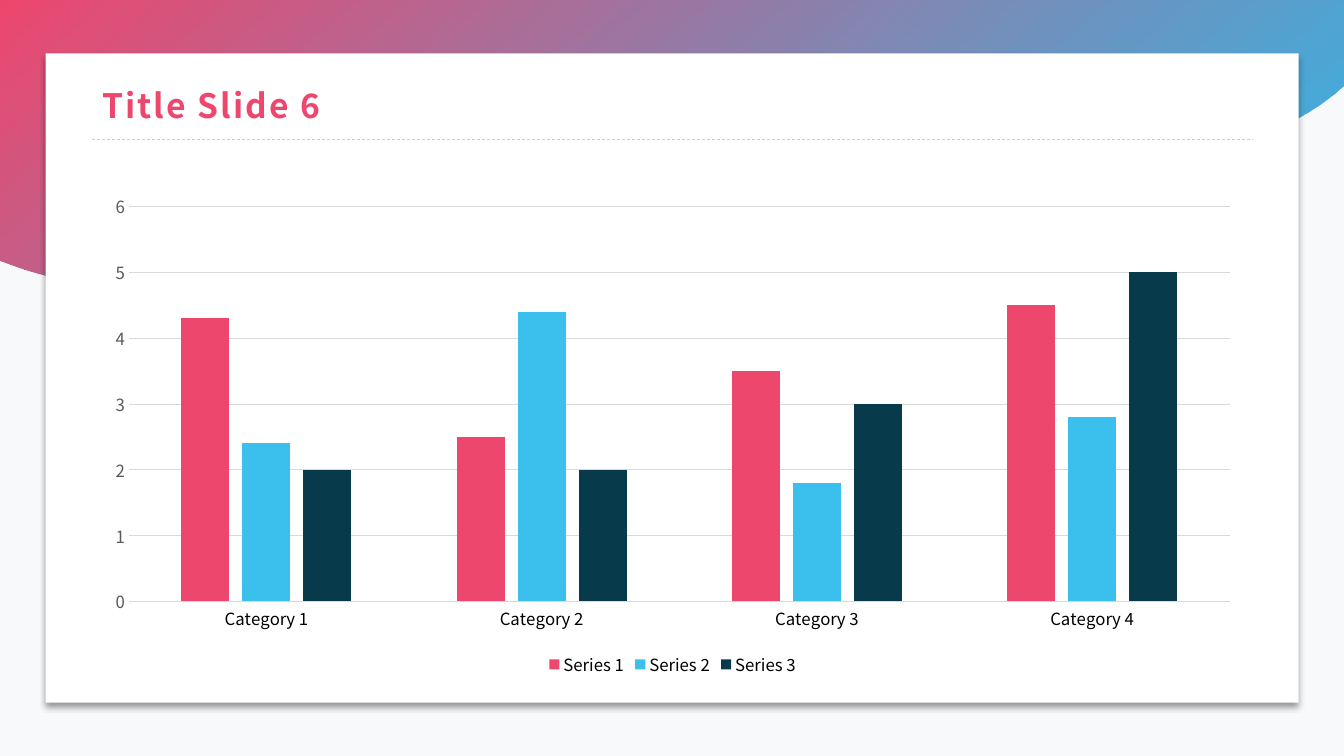
from lxml.etree import SubElement
from pptx import Presentation
from pptx.chart.data import CategoryChartData
from pptx.dml.color import RGBColor
from pptx.enum.chart import XL_CHART_TYPE as ChartType
from pptx.enum.chart import XL_LEGEND_POSITION as LegendPosition
from pptx.enum.chart import XL_TICK_MARK as TickMark
from pptx.enum.dml import MSO_LINE_DASH_STYLE as DashStyle
from pptx.enum.shapes import MSO_CONNECTOR as Connector
from pptx.enum.shapes import MSO_SHAPE as Shape
from pptx.enum.text import MSO_ANCHOR as Anchor
from pptx.oxml.ns import qn
from pptx.util import Pt

# Content
TITLE = "Title Slide 6"
CATEGORIES = ["Category 1", "Category 2", "Category 3", "Category 4"]
SERIES = [
    ("Series 1", (4.3, 2.5, 3.5, 4.5), "EE476E"),
    ("Series 2", (2.4, 4.4, 1.8, 2.8), "3BC0ED"),
    ("Series 3", (2, 2, 3, 5), "073A4B"),
]

# Look
FONT = "Noto Sans CJK JP"
PINK, BLUE, GRID = "EE476E", "16B3E8", "D9D9D9"
WIDTH, HEIGHT = 960, 540
LEFT, CONTENT_WIDTH = 66, 829

# Lower edge of the wave: start point, then cubic curves (two handles, end point)
WAVE_START = (0, 185.8)
WAVE_CURVES = [
    ((87.8, 218.9), (191.5, 223.9), (283, 197.3)),
    ((381.6, 169.2), (466.6, 108.7), (570.2, 97.9)),
    ((673.9, 87.1), (783.4, 129.6), (883.4, 102.2)),
    ((912.2, 94.3), (938.9, 79.9), (960, 61.2)),
]


def rgb(value):
    return RGBColor.from_string(value)


def bend_lines(shape, first, count):
    """Turn each three line segments, from the given one on, into a cubic curve."""
    lines = list(shape._element.spPr.iter(qn("a:lnTo")))
    for index in range(first, first + 3 * count, 3):
        curve = SubElement(lines[index].getparent(), qn("a:cubicBezTo"))
        lines[index].addprevious(curve)
        for line in lines[index:index + 3]:
            curve.append(line[0])
            line.getparent().remove(line)


def style_font(font, size, color):
    font.name, font.size = FONT, Pt(size)
    font.color.rgb = rgb(color)


def style_line(line, color, width):
    line.color.rgb = rgb(color)
    line.width = Pt(width)


presentation = Presentation()
presentation.slide_width, presentation.slide_height = Pt(WIDTH), Pt(HEIGHT)
slide = presentation.slides.add_slide(presentation.slide_layouts[6])
slide.background.fill.solid()
slide.background.fill.fore_color.rgb = rgb("F8F9FB")

# Gradient wave
handles = [point for curve in WAVE_CURVES for point in curve]
outline = [WAVE_START, *handles, (WIDTH, 0)]
builder = slide.shapes.build_freeform(0, 0, scale=1.0)
builder.add_line_segments([(Pt(x), Pt(y)) for x, y in outline], close=True)
wave = builder.convert_to_shape()
bend_lines(wave, 1, len(WAVE_CURVES))
wave.shadow.inherit = False
wave.line.fill.background()
wave.fill.gradient()
wave.fill.gradient_angle = 310
for stop, color, position in zip(wave.fill.gradient_stops, (PINK, BLUE), (0, 1)):
    stop.color.rgb = rgb(color)
    stop.position = position
end_color = list(wave._element.spPr.iter(qn("a:srgbClr")))[-1]
SubElement(end_color, qn("a:alpha"), val="90000")

# White card with a soft shadow
card = slide.shapes.add_shape(Shape.RECTANGLE, Pt(32.6), Pt(38.2), Pt(895), Pt(463.7))
card.shadow.inherit = False
card.fill.solid()
card.fill.fore_color.rgb = rgb("FFFFFF")
card.line.fill.background()
effects = card._element.spPr.find(qn("a:effectLst"))
shadow = SubElement(effects, qn("a:outerShdw"), blurRad=str(Pt(4)), dist=str(Pt(3)),
                    dir="5400000", algn="t", rotWithShape="0")
shadow_color = SubElement(shadow, qn("a:srgbClr"), val="000000")
SubElement(shadow_color, qn("a:alpha"), val="40000")

# Dashed rule under the title
rule = slide.shapes.add_connector(Connector.STRAIGHT, Pt(LEFT), Pt(99.4),
                                  Pt(LEFT + CONTENT_WIDTH), Pt(99.4))
style_line(rule.line, "D0CECE", 0.5)
rule.line.dash_style = DashStyle.DASH
SubElement(rule._element.spPr, qn("a:effectLst"))

# Title
title = slide.shapes.add_textbox(Pt(LEFT), Pt(53.7), Pt(CONTENT_WIDTH), Pt(46.1))
title.text_frame.word_wrap = True
title.text_frame.vertical_anchor = Anchor.MIDDLE
paragraph = title.text_frame.paragraphs[0]
paragraph.line_spacing = 0.9
run = paragraph.add_run()
run.text = TITLE
style_font(run.font, 24, PINK)
run.font.bold = True
run.font._element.set("spc", "150")

# Column chart
data = CategoryChartData()
data.categories = CATEGORIES
for name, values, _ in SERIES:
    data.add_series(name, values)
chart = slide.shapes.add_chart(ChartType.COLUMN_CLUSTERED, Pt(LEFT), Pt(131.5),
                               Pt(CONTENT_WIDTH), Pt(355), data).chart
chart.has_title = False
style_font(chart.font, 10, "000000")

plot = chart.plots[0]
plot.gap_width, plot.overlap = 219, -27
plot.vary_by_categories = False
for series, (_, _, color) in zip(plot.series, SERIES):
    series.format.fill.solid()
    series.format.fill.fore_color.rgb = rgb(color)

for axis, color in ((chart.category_axis, "000000"), (chart.value_axis, "595959")):
    axis.major_tick_mark = axis.minor_tick_mark = TickMark.NONE
    style_font(axis.tick_labels.font, 12, color)
style_line(chart.category_axis.format.line, GRID, 0.75)
chart.value_axis.format.line.fill.background()
chart.value_axis.has_major_gridlines = True
style_line(chart.value_axis.major_gridlines.format.line, GRID, 0.75)

chart.has_legend = True
chart.legend.position = LegendPosition.BOTTOM
chart.legend.include_in_layout = False
style_font(chart.legend.font, 12, "000000")

presentation.save("out.pptx")
